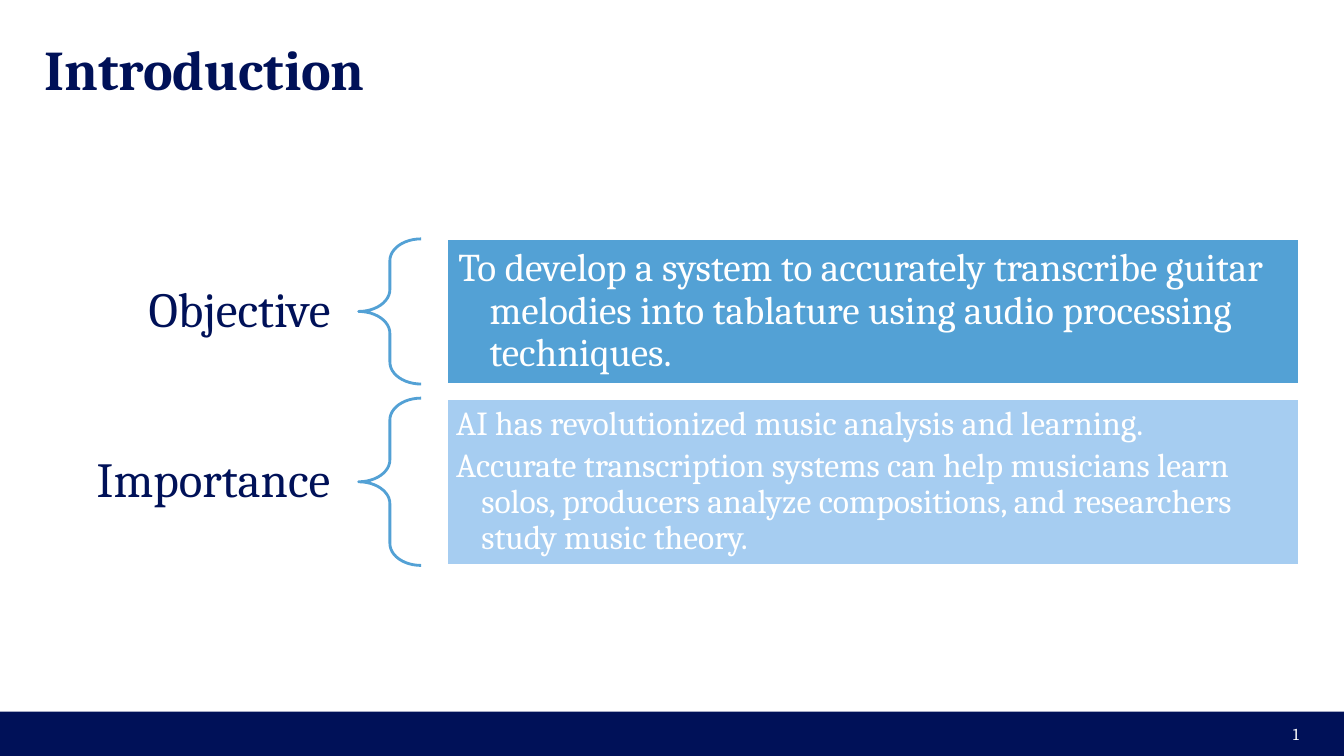
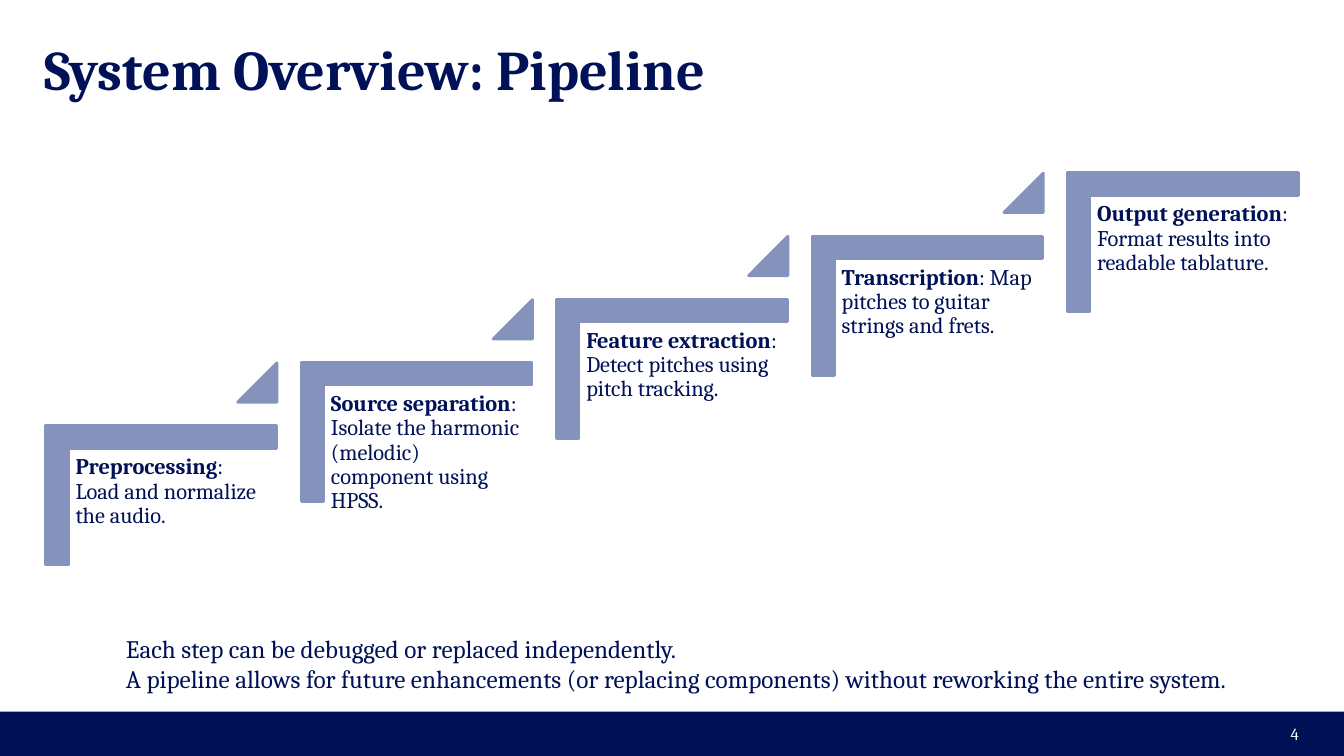
from pptx import Presentation
from pptx.dml.color import RGBColor
from pptx.enum.shapes import MSO_SHAPE as Shape
from pptx.enum.text import MSO_ANCHOR as Anchor, PP_ALIGN as Align
from pptx.util import Emu, Pt

PX = 9144
FONT = "Cambria"
COLORS = {
    "navy": "001158",
    "blue": "53A1D5",
    "sky": "A6CDF1",
    "slate": "8592BC",
    "white": "FFFFFF",
}

TOPICS = [
    {"label": "Objective", "top": 237, "height": 144, "fill": "blue",
     "size": 28, "inset": 12, "indent": 31,
     "lines": ["To develop a system to accurately transcribe guitar melodies "
               "into tablature using audio processing techniques."]},
    {"label": "Importance", "top": 395, "height": 166, "fill": "sky",
     "size": 24, "inset": 10, "indent": 25,
     "lines": ["AI has revolutionized music analysis and learning.",
               "Accurate transcription systems can help musicians learn solos, "
               "producers analyze compositions, and researchers study music theory."]},
]
STEPS = [
    ("Preprocessing", ": Load and normalize the audio."),
    ("Source separation", ": Isolate the harmonic (melodic) component using HPSS."),
    ("Feature extraction", ": Detect pitches using pitch tracking."),
    ("Transcription", ": Map pitches to guitar strings and frets."),
    ("Output generation", ": Format results into readable tablature."),
]
REMARKS = [
    "Each step can be debugged or replaced independently.",
    "A pipeline allows for future enhancements (or replacing components) "
    "without reworking the entire system.",
]


def px(value):
    return Emu(round(value * PX))


def color(name):
    return RGBColor.from_string(COLORS[name])


def write(shape, paragraphs, size, ink="navy", bold=False, align=Align.LEFT,
          anchor=Anchor.TOP, insets=(0, 0), spacing=None, after=0, indent=0):
    frame = shape.text_frame
    frame.word_wrap = True
    frame.vertical_anchor = anchor
    frame.margin_left = frame.margin_right = px(insets[0])
    frame.margin_top = frame.margin_bottom = px(insets[1])
    for index, runs in enumerate(paragraphs):
        para = frame.add_paragraph() if index else frame.paragraphs[0]
        para.alignment = align
        para.line_spacing = spacing
        para.space_after = Pt(after)
        if indent:
            properties = para._p.get_or_add_pPr()
            properties.set("marL", str(px(indent)))
            properties.set("indent", str(-px(indent)))
        for text, strong in [(runs, bold)] if isinstance(runs, str) else runs:
            span = para.add_run()
            span.text = text
            span.font.name = FONT
            span.font.size = Pt(size)
            span.font.bold = strong
            span.font.color.rgb = color(ink)


def add_text(page, box, paragraphs, size, **style):
    write(page.shapes.add_textbox(*map(px, box)), paragraphs, size, **style)


def add_block(page, kind, box, fill=None, line=None, adjust=(), rotation=0):
    shape = page.shapes.add_shape(kind, *map(px, box))
    shape.shadow.inherit = False
    shape.rotation = rotation
    for index, value in enumerate(adjust):
        shape.adjustments[index] = value
    if fill:
        shape.fill.solid()
        shape.fill.fore_color.rgb = color(fill)
    else:
        shape.fill.background()
    if line:
        shape.line.color.rgb = color(line)
        shape.line.width = Pt(2)
    else:
        shape.line.fill.background()
    return shape


def add_page(deck, title, number):
    page = deck.slides.add_slide(deck.slide_layouts[6])
    add_block(page, Shape.RECTANGLE, (0, 706, 1334, 44), "navy")
    add_text(page, (44, 44, 1246, 47), [title], 40, bold=True, anchor=Anchor.MIDDLE)
    add_text(page, (999, 708, 300, 40), [str(number)], 12, ink="white",
             align=Align.RIGHT, anchor=Anchor.MIDDLE, insets=(10, 5))
    return page


def add_topic(page, topic):
    top, height = topic["top"], topic["height"]
    add_text(page, (44, top + height / 2 - 38, 311, 76), [topic["label"]], 35,
             align=Align.RIGHT, anchor=Anchor.MIDDLE, insets=(27, 10), spacing=0.9)
    add_block(page, Shape.LEFT_BRACE, (356, top, 62, height), line="blue",
              adjust=(0.35, 0.5))
    panel = add_block(page, Shape.RECTANGLE, (443, top, 847, height),
                      topic["fill"], "white")
    write(panel, topic["lines"], topic["size"], ink="white", anchor=Anchor.MIDDLE,
          insets=(topic["inset"], topic["inset"]), spacing=0.9,
          after=topic["size"] * 0.15, indent=topic["indent"])


def add_steps(page):
    last = len(STEPS) - 1
    run, rise = (1105 - 91) / last, (377 - 126) / last
    for index, (name, detail) in enumerate(STEPS):
        left, top = 91 + index * run, 377 - index * rise
        add_block(page, Shape.CORNER, (left, top, 138, 229), "slate", "slate",
                  adjust=(0.161, 0.161), rotation=90)
        add_text(page, (left - 23, top + 68, 207, 181),
                 [[(name, True), (detail, False)]], 16, insets=(7, 7), spacing=0.9)
        if index < last:
            add_block(page, Shape.ISOSCELES_TRIANGLE, (left + 145, top - 17, 39, 39),
                      "slate", "slate", adjust=(1,))


def main():
    deck = Presentation()
    deck.slide_width, deck.slide_height = px(1334), px(750)

    introduction = add_page(deck, "Introduction", 1)
    for topic in TOPICS:
        add_topic(introduction, topic)

    pipeline = add_page(deck, "System Overview: Pipeline", 4)
    add_steps(pipeline)
    add_text(pipeline, (113, 616, 1218, 87), REMARKS, 18, insets=(12, 12))

    deck.save("out.pptx")


if __name__ == "__main__":
    main()
